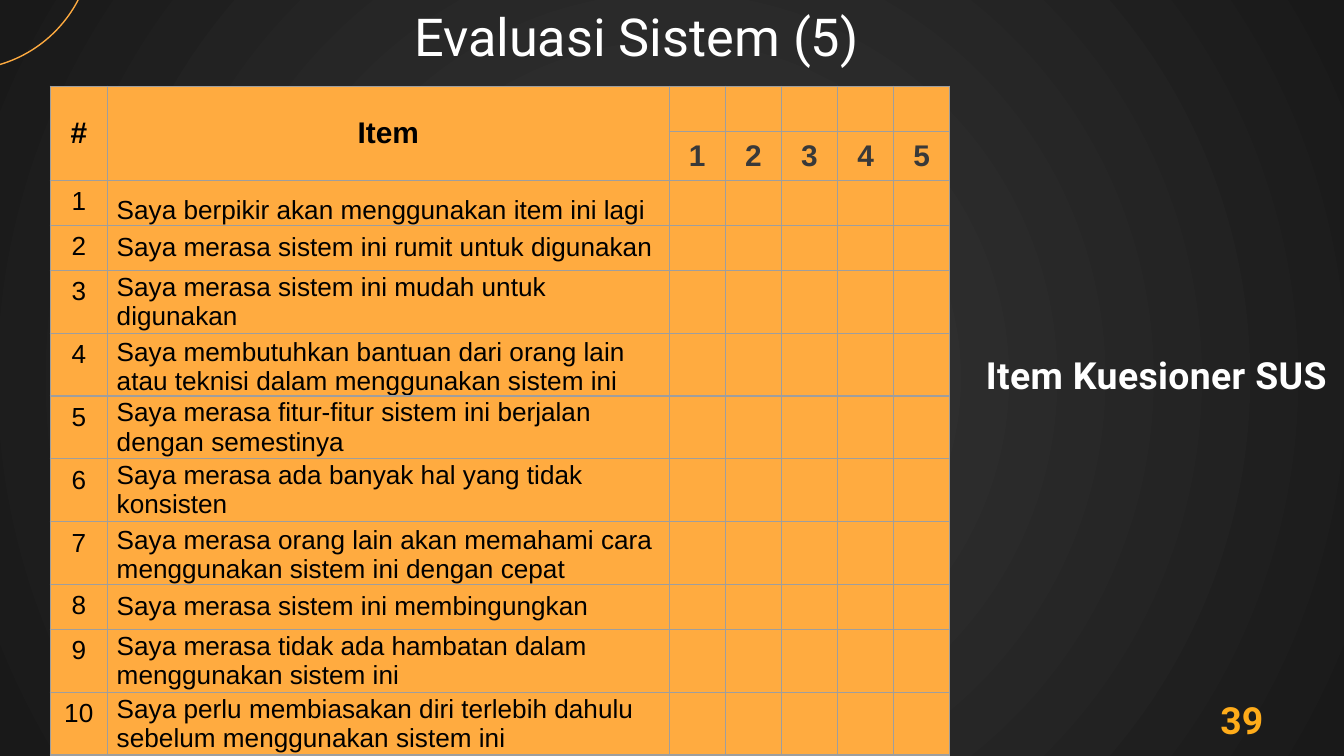
import pptx
import pptx.util
import pptx.dml.color
import pptx.enum.shapes
import pptx.enum.text
import pptx.oxml
import pptx.oxml.ns

RGB = pptx.dml.color.RGBColor
WHITE = RGB(0xFF, 0xFF, 0xFF)
BLACK = RGB(0, 0, 0)
DARK = RGB(0x39, 0x39, 0x39)
NIGHT = RGB(0x19, 0x19, 0x19)
AMBER = RGB(0xFF, 0xAB, 0x40)
GOLD = RGB(0xFF, 0xAC, 0x1A)
GREY = RGB(0x9E, 0x9E, 0x9E)
NS = pptx.oxml.ns.nsdecls("a")
Pt = pptx.util.Pt
ALIGN = pptx.enum.text.PP_ALIGN
ANCHOR = pptx.enum.text.MSO_ANCHOR

# Widescreen, 16 by 9
deck = pptx.Presentation()
deck.slide_width = pptx.util.Inches(10)
deck.slide_height = deck.slide_width * 9 // 16
slide = deck.slides.add_slide(deck.slide_layouts[6])


def place(x, y, w, h):
    """Turn percentages of the slide into lengths."""
    wide, high = deck.slide_width, deck.slide_height
    return [round(n * side / 100) for n, side in zip((x, y, w, h), (wide, high) * 2)]


def write(frame, text, size, color, bold=False, font="Arial", align=ALIGN.CENTER):
    """Fill a frame with one styled paragraph."""
    frame.word_wrap = True
    para = frame.paragraphs[0]
    para.text = text
    para.alignment = align
    para.font.size = Pt(size)
    para.font.name = font
    para.font.bold = bold
    para.font.color.rgb = color
    return para


# Background: light in the middle, dark at the edge
fill = slide.background.fill
fill.gradient()
for stop, color, spot in zip(fill.gradient_stops, (DARK, NIGHT), (0, 1)):
    stop.color.rgb = color
    stop.position = spot
grad = slide.background._cSld.find(".//" + pptx.oxml.ns.qn("a:gradFill"))
line = grad.find(pptx.oxml.ns.qn("a:lin"))
grad.replace(line, pptx.oxml.parse_xml(
    f'<a:path {NS} path="circle"><a:fillToRect l="50000" t="50000" r="50000" b="50000"/></a:path>'))

# Corner ring
ring = slide.shapes.add_shape(
    pptx.enum.shapes.MSO_SHAPE.OVAL, *place(-12.4, -25.07, 19.3, 34.31))
ring.shadow.inherit = False
ring.fill.background()
ring.line.color.rgb = AMBER
ring.line.width = Pt(0.75)

# Title
title = slide.shapes.add_textbox(*place(3.7, 0.53, 87.3, 7.64)).text_frame
title.margin_left = title.margin_right = title.margin_top = title.margin_bottom = 0
write(title, "Evaluasi Sistem (5)", 28, WHITE, font="Roboto")

# Page number and side label
for text, spot, color, gap in (
    ("39", (84.75, 91.4, 15.3, 7.8), GOLD, 10),
    ("Item Kuesioner SUS", (72.1, 45.75, 27.9, 19.7), WHITE, 20),
):
    box = slide.shapes.add_textbox(*place(*spot))
    para = write(box.text_frame, text, 20, color, True, "Roboto")
    para.runs[0]._r.get_or_add_rPr().set("spc", str(gap))

# Questionnaire: wording and vertical anchor of each item
MID, LOW = ANCHOR.MIDDLE, ANCHOR.BOTTOM
items = [
    ("Saya berpikir akan menggunakan item ini lagi", LOW),
    ("Saya merasa sistem ini rumit untuk digunakan", MID),
    ("Saya merasa sistem ini mudah untuk digunakan", MID),
    ("Saya membutuhkan bantuan dari orang lain atau teknisi dalam menggunakan sistem ini", LOW),
    ("Saya merasa fitur-fitur sistem ini berjalan dengan semestinya", MID),
    ("Saya merasa ada banyak hal yang tidak konsisten", MID),
    ("Saya merasa orang lain akan memahami cara menggunakan sistem ini dengan cepat", LOW),
    ("Saya merasa sistem ini membingungkan", MID),
    ("Saya merasa tidak ada hambatan dalam menggunakan sistem ini", MID),
    ("Saya perlu membiasakan diri terlebih dahulu sebelum menggunakan sistem ini", MID),
]

# Table grid
SHORT, TALL = 5.96, 8.31
cols = [4.25, 41.8] + [4.18] * 5
rows = [SHORT, 6.5, SHORT, SHORT] + [TALL] * 5 + [SHORT] + [TALL] * 2
table = slide.shapes.add_table(
    len(rows), len(cols), *place(3.74, 11.4, sum(cols), sum(rows))).table
table.first_row = table.horz_banding = False
for col, share in zip(table.columns, cols):
    col.width = round(deck.slide_width * share / 100)
for row, share in zip(table.rows, rows):
    row.height = round(deck.slide_height * share / 100)

# Cell fill, insets and borders
for cell in table.iter_cells():
    cell.margin_left = cell.margin_right = pptx.util.Inches(0.07)
    cell.margin_top = cell.margin_bottom = 0
    cell.text_frame.paragraphs[0].font.size = Pt(14)
    cell.fill.solid()
    cell.fill.fore_color.rgb = AMBER
    for i, side in enumerate("LRTB"):
        cell._tc.get_or_add_tcPr().insert(i, pptx.oxml.parse_xml(
            f'<a:ln{side} {NS} w="{Pt(0.75)}"><a:solidFill>'
            f'<a:srgbClr val="{GREY}"/></a:solidFill></a:ln{side}>'))

# Header
for c, text in enumerate(("#", "Item")):
    head = table.cell(0, c)
    head.merge(table.cell(1, c))
    head.vertical_anchor = MID
    write(head.text_frame, text, 16, BLACK, True)
for score in range(1, 6):
    cell = table.cell(1, score + 1)
    cell.vertical_anchor = MID
    write(cell.text_frame, str(score), 16, DARK, True)

# Items
for n, (text, anchor) in enumerate(items, 1):
    mark, item = table.cell(n + 1, 0), table.cell(n + 1, 1)
    mark.margin_top = mark.margin_bottom = pptx.util.Inches(0.05)
    write(mark.text_frame, str(n), 14, BLACK)
    item.vertical_anchor = anchor
    write(item.text_frame, text, 14, BLACK, align=ALIGN.LEFT)

deck.save("out.pptx")
